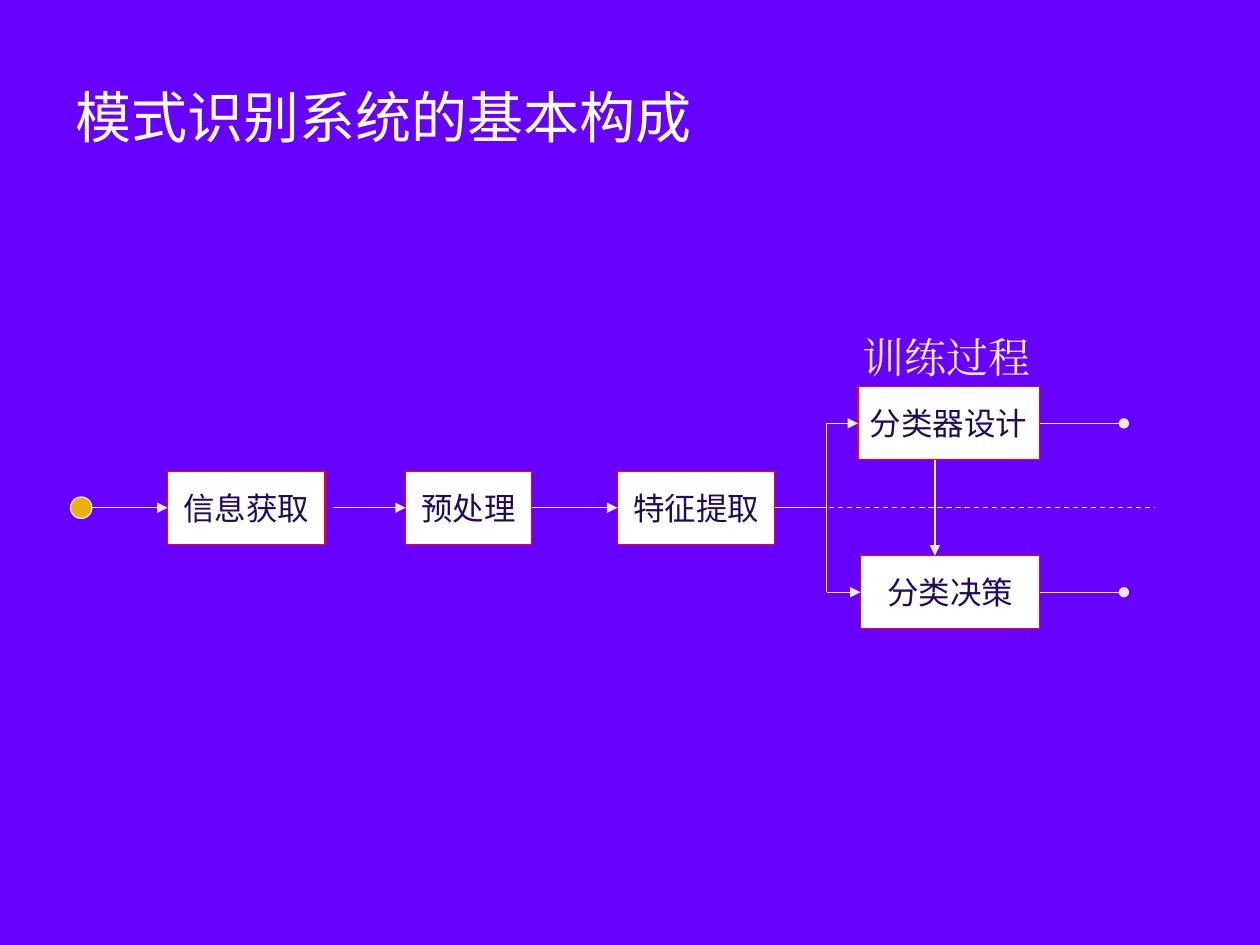
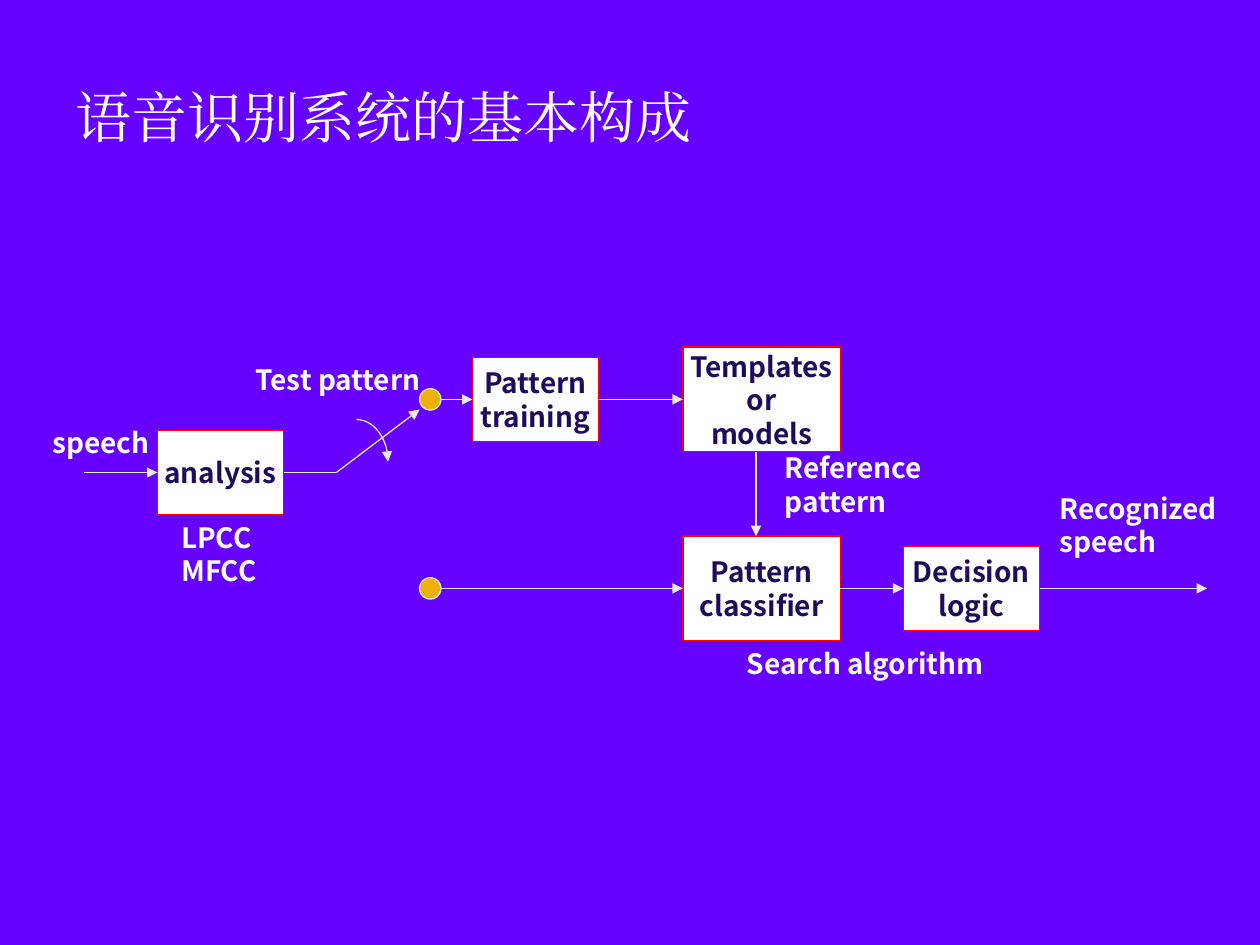
from dataclasses import dataclass

from lxml import etree
from pptx import Presentation
from pptx.dml.color import RGBColor
from pptx.enum.dml import MSO_LINE
from pptx.enum.shapes import MSO_CONNECTOR, MSO_SHAPE
from pptx.enum.text import MSO_ANCHOR, MSO_AUTO_SIZE, PP_ALIGN
from pptx.oxml.ns import qn
from pptx.slide import Slide
from pptx.util import Inches, Pt

RECT, ELLIPSE, ARC = MSO_SHAPE.RECTANGLE, MSO_SHAPE.OVAL, MSO_SHAPE.ARC
STRAIGHT = MSO_CONNECTOR.STRAIGHT
DASH = MSO_LINE.DASH
MIDDLE, TOP = MSO_ANCHOR.MIDDLE, MSO_ANCHOR.TOP
CENTER, LEFT = PP_ALIGN.CENTER, PP_ALIGN.LEFT
FIT = MSO_AUTO_SIZE.SHAPE_TO_FIT_TEXT
LEFT_SIDE, RIGHT_SIDE = 1, 3

PURPLE = RGBColor(0x66, 0x00, 0xFF)
WHITE = RGBColor(0xFF, 0xFF, 0xFF)
RED = RGBColor(0xFF, 0x00, 0x00)
NAVY = RGBColor(0x20, 0x0B, 0x5B)
PALE = RGBColor(0xEA, 0xEA, 0xEA)
GOLD = RGBColor(0xEE, 0xB0, 0x0B)

CJK, SERIF, SANS = "Noto Sans CJK KR", "Times New Roman", "DejaVu Sans"
DOT = 0.17


def set_text(sp, text, size, color, font=CJK, bold=False, align=LEFT, anchor=TOP, wrap=False):
    """Fill a shape with uniformly formatted text, one paragraph a line."""
    tf = sp.text_frame
    tf.text = text
    tf.word_wrap = wrap
    tf.vertical_anchor = anchor
    for p in tf.paragraphs:
        p.alignment = align
        for r in p.runs:
            r.font.size, r.font.bold, r.font.name = Pt(size), bold, font
            r.font.color.rgb = color
            etree.SubElement(r.font._element, qn("a:ea")).set("typeface", font)


def style_line(sp, color, tail=None):
    """Set a thin outline with an optional end mark."""
    sp.line.color.rgb = color
    sp.line.width = Pt(0.75)
    if tail:
        ln = sp.line._get_or_add_ln()
        etree.SubElement(ln, qn("a:tailEnd")).set("type", tail)


@dataclass
class Diagram:
    """Draws diagram parts relative to its own top left corner, in inches."""

    slide: Slide
    x: float
    y: float
    size: int
    bold: bool

    def area(self, x, y, w, h):
        """Turn a relative box into slide lengths."""
        return Inches(self.x + x), Inches(self.y + y), Inches(w), Inches(h)

    def shape(self, kind, x, y, w, h, line, fill=None):
        """Add a preset shape."""
        sp = self.slide.shapes.add_shape(kind, *self.area(x, y, w, h))
        sp.shadow.inherit = False
        if fill is None:
            sp.fill.background()
        else:
            sp.fill.solid()
            sp.fill.fore_color.rgb = fill
        style_line(sp, line)
        return sp

    def block(self, text, x, row, w, h):
        """Add a white block centred on a row."""
        sp = self.shape(RECT, x, row - h / 2, w, h, RED, WHITE)
        set_text(sp, text, self.size, NAVY, bold=self.bold, align=CENTER, anchor=MIDDLE)
        return sp

    def dot(self, x, row):
        """Add a gold node whose right edge is at x on a row."""
        self.shape(ELLIPSE, x - DOT, row - DOT / 2, DOT, DOT, PALE, GOLD)

    def line(self, x1, y1, x2, y2, tail=None, begin=None, end=None, dash=None):
        """Add a line, joined to the right of begin and the left of end if given."""
        start = self.area(x1, y1, 0, 0)[:2]
        stop = self.area(x2, y2, 0, 0)[:2]
        cn = self.slide.shapes.add_connector(STRAIGHT, *start, *stop)
        if begin is not None:
            cn.begin_connect(begin, RIGHT_SIDE)
        if end is not None:
            cn.end_connect(end, LEFT_SIDE)
        if dash:
            cn.line.dash_style = dash
        style_line(cn, PALE, tail)
        etree.SubElement(cn._element.spPr, qn("a:effectLst"))

    def arrow(self, x1, y1, x2, y2, **joins):
        """Add a line with an arrowhead."""
        self.line(x1, y1, x2, y2, "triangle", **joins)

    def label(self, text, x, y, w, h, size=16, color=WHITE, font=CJK, bold=True, wrap=False):
        """Add free-standing text."""
        sp = self.slide.shapes.add_textbox(*self.area(x, y, w, h))
        set_text(sp, text, size, color, font, bold, wrap=wrap)
        sp.text_frame.auto_size = FIT


def add_title(s, text, font):
    """Add the slide title."""
    sp = s.shapes.add_textbox(Inches(0.5), Inches(0.3), Inches(9), Inches(1.25))
    set_text(sp, text, 32, WHITE, font, anchor=MIDDLE, wrap=True)


def pattern_system(s, x, y):
    """Draw the pattern recognition flow with its training branch."""
    d = Diagram(s, x, y, 18, False)
    train, row, decide, h = 0.86, 1.53, 2.2, 0.58
    fork = 6.31
    acquire = d.block("信息获取", 1.08, row, 1.25, h)
    prepare = d.block("预处理", 2.97, row, 1, h)
    extract = d.block("特征提取", 4.65, row, 1.25, h)
    design = d.block("分类器设计", 6.56, train, 1.44, h)
    decision = d.block("分类决策", 6.58, decide, 1.42, h)
    d.dot(0.48, row)
    d.arrow(0.48, row, 1.08, row, end=acquire)
    d.arrow(2.39, row, 2.97, row, end=prepare)
    d.arrow(3.97, row, 4.65, row, begin=prepare, end=extract)
    d.line(5.9, row, fork, row, begin=extract)
    d.line(fork, train, fork, decide)
    for block, level in ((design, train), (decision, decide)):
        d.arrow(fork, level, 6.56, level, end=block)
        d.line(8, level, 8.67, level, "oval", begin=block)
    d.arrow(7.17, train + h / 2, 7.17, decide - h / 2)
    d.line(6.33, row, 8.92, row, dash=DASH)
    d.label("训练过程", 6.5, 0.08, 1.83, 0.5, 24, PALE, SERIF, False, True)


def speech_system(s, x, y):
    """Draw the speech recognition flow with its training switch."""
    d = Diagram(s, x, y, 16, True)
    train, row, test = 0.67, 1.25, 2.17
    low, high = 0.67, 0.83
    analysis = d.block("analysis", 1, row, 1, low)
    training = d.block("Pattern\ntraining", 3.5, train, 1, low)
    models = d.block("Templates\nor\nmodels", 5.17, train, 1.25, high)
    classifier = d.block("Pattern\nclassifier", 5.17, test, 1.25, high)
    logic = d.block("Decision\nlogic", 6.92, test, 1.08, low)
    d.arrow(0.42, row, 1, row, end=analysis)
    d.line(2, row, 2.42, row, begin=analysis)
    d.arrow(2.42, row, 3.08, 0.75)
    for level, block in ((train, training), (test, classifier)):
        d.dot(3.25, level)
        d.arrow(3.25, level, 3.5, level, end=block)
    d.arrow(4.5, train, 5.17, train, begin=training, end=models)
    d.arrow(5.75, train + high / 2, 5.75, test - high / 2)
    d.arrow(6.42, test, 6.92, test, begin=classifier, end=logic)
    d.arrow(8, test, 9.33, test, begin=logic)
    switch = d.shape(ARC, 2.33, 0.83, 0.5, 0.67, PALE)
    style_line(switch, PALE, "triangle")
    for text, *box in (
        ("speech", 0.07, 0.83, 0.97, 0.37),
        ("Recognized\nspeech", 8.06, 1.35, 1.46, 0.64),
        ("LPCC\nMFCC", 1.09, 1.58, 0.81, 0.64),
        ("Test pattern", 1.68, 0.33, 1.56, 0.37),
        ("Reference\npattern", 5.88, 1.03, 1.31, 0.64),
        ("Search algorithm", 5.58, 2.58, 2.11, 0.37),
    ):
        d.label(text, *box)


def main():
    """Build both slides and save them."""
    prs = Presentation()
    prs.slide_width, prs.slide_height = Inches(10), Inches(7.5)
    background = prs.slide_master.background.fill
    background.solid()
    background.fore_color.rgb = PURPLE
    for title, font, draw in (
        ("模式识别系统的基本构成", SANS, pattern_system),
        ("语音识别系统的基本构成", SERIF, speech_system),
    ):
        s = prs.slides.add_slide(prs.slide_layouts[6])
        draw(s, 0.25, 2.5)
        add_title(s, title, font)
    prs.save("out.pptx")


if __name__ == "__main__":
    main()
